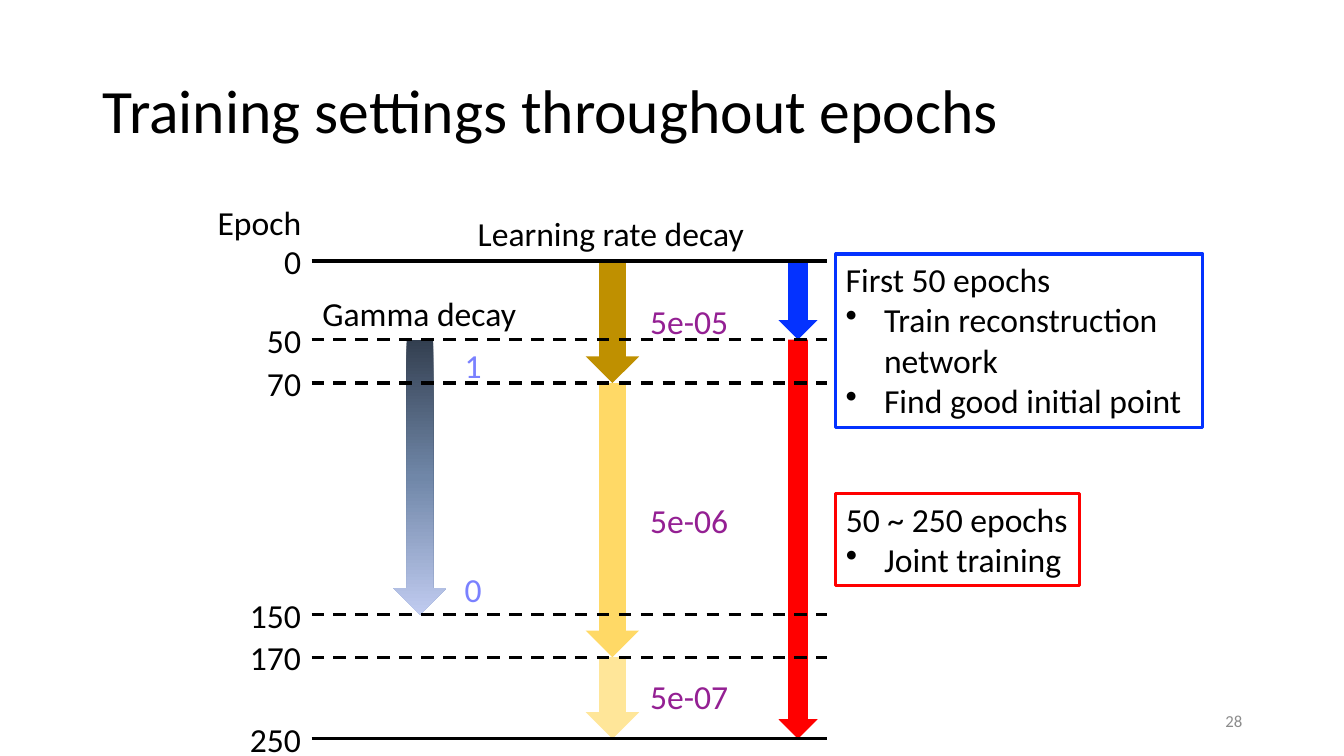
from copy import deepcopy
from dataclasses import dataclass

from pptx import Presentation
from pptx.dml.color import RGBColor
from pptx.enum.dml import MSO_LINE
from pptx.enum.shapes import MSO_CONNECTOR, MSO_SHAPE
from pptx.enum.text import MSO_ANCHOR, MSO_AUTO_SIZE, PP_ALIGN
from pptx.oxml.ns import qn
from pptx.util import Inches, Pt
from lxml import etree

DASH = MSO_LINE.DASH
STRAIGHT = MSO_CONNECTOR.STRAIGHT
DOWN, RECT = MSO_SHAPE.DOWN_ARROW, MSO_SHAPE.RECTANGLE
TOP, MIDDLE = MSO_ANCHOR.TOP, MSO_ANCHOR.MIDDLE
FIXED, GROW = MSO_AUTO_SIZE.NONE, MSO_AUTO_SIZE.SHAPE_TO_FIT_TEXT
LEFT, RIGHT = PP_ALIGN.LEFT, PP_ALIGN.RIGHT


@dataclass(frozen=True)
class Theme:
    font: str = "Calibri"
    title: int = 44
    body: int = 24
    small: int = 12
    line: float = 2.25
    ink: str = "000000"
    grey: str = "8C8C8C"
    blue: str = "0432FF"
    red: str = "FF0000"
    rate: str = "942093"
    gamma: str = "7A81FF"
    golds: tuple = ("BF9000", "FFD966", "FFE699")
    fade: tuple = ("333F50", "7087A8", "C0CBF0")


THEME = Theme()

# Height of each epoch mark on the time axis
MARKS = {0: 2.59, 50: 3.37, 70: 3.8, 150: 6.1, 170: 6.52, 250: 7.33}
AXIS_LEFT, AXIS_RIGHT = 3.09, 8.2
ROW = 0.5


def rgb(code):
    return RGBColor.from_string(code)


def assign(target, values):
    for name, value in values.items():
        setattr(target, name, value)


def write(frame, lines, size=THEME.body, color=THEME.ink, align=LEFT,
          bullets=False, **form):
    """Fill a text frame; with bullets, every line after the first has one."""
    assign(frame, {"word_wrap": False, "auto_size": GROW,
                   "vertical_anchor": TOP, **form})
    frame.text = "\n".join(lines)
    for i, para in enumerate(frame.paragraphs):
        para.alignment = align
        assign(para.font, {"name": THEME.font, "size": Pt(size)})
        para.font.color.rgb = rgb(color)
        if bullets and i:
            props = para._p.get_or_add_pPr()
            props.set("marL", str(Inches(0.38)))
            props.set("indent", str(Inches(-0.38)))
            mark = etree.Element(qn("a:buChar"), {"char": "•"})
            props.insert_element_before(mark, "a:tabLst", "a:defRPr", "a:extLst")


def label(slide, text, left, top, width, height=ROW, **form):
    box = slide.shapes.add_textbox(*map(Inches, (left, top, width, height)))
    write(box.text_frame, [text], **form)


def fade(shape, colors):
    """Run a gradient from top to bottom through evenly spaced colours."""
    shape.fill.gradient()
    shape.fill.gradient_angle = 270
    stops = shape._element.spPr.find(".//" + qn("a:gsLst"))
    while len(stops) < len(colors):
        stops.append(deepcopy(stops[-1]))
    for i, (stop, color) in enumerate(zip(shape.fill.gradient_stops, colors)):
        stop.position = i / (len(colors) - 1)
        stop.color.rgb = rgb(color)


def arrow(slide, left, width, start, end, color):
    """Draw a down arrow between two epochs."""
    top = MARKS[start]
    size = (left, top, width, MARKS[end] - top)
    shape = slide.shapes.add_shape(DOWN, *map(Inches, size))
    shape.shadow.inherit = False
    shape.line.fill.background()
    if isinstance(color, tuple):
        fade(shape, color)
    else:
        shape.fill.solid()
        shape.fill.fore_color.rgb = rgb(color)


def mark(slide, epoch, solid):
    """Draw an epoch line with its number to the left."""
    y = MARKS[epoch]
    ends = (AXIS_LEFT, y, AXIS_RIGHT, y)
    line = slide.shapes.add_connector(STRAIGHT, *map(Inches, ends))
    line.line.color.rgb = rgb(THEME.ink)
    line.line.width = Pt(THEME.line)
    if not solid:
        line.line.dash_style = DASH
    etree.SubElement(line._element.spPr, qn("a:effectLst"))
    width = 0.2 + 0.17 * len(str(epoch))
    label(slide, str(epoch), AXIS_LEFT - width, y - ROW / 2, width)


def note(slide, lines, color, top, width, height, wrap):
    """Draw an outlined box with a heading and bullets."""
    size = (8.29, top, width, height)
    shape = slide.shapes.add_shape(RECT, *map(Inches, size))
    shape.shadow.inherit = False
    shape.fill.background()
    shape.line.color.rgb = rgb(color)
    shape.line.width = Pt(THEME.line)
    write(shape.text_frame, lines, bullets=True, word_wrap=wrap)


def heading(slide, text):
    title = slide.shapes.title
    assign(title, {"left": Inches(0.92), "top": Inches(0.4),
                   "width": Inches(11.5), "height": Inches(1.45)})
    write(title.text_frame, [text], size=THEME.title, word_wrap=True,
          auto_size=FIXED, vertical_anchor=MIDDLE)
    title.text_frame.paragraphs[0].line_spacing = 0.9


def main():
    deck = Presentation()
    assign(deck, {"slide_width": Inches(13.33), "slide_height": Inches(7.5)})
    slide = deck.slides.add_slide(deck.slide_layouts[5])
    heading(slide, "Training settings throughout epochs")

    # Arrows: gamma, learning rate, training stages
    arrow(slide, 3.9, 0.53, 50, 150, THEME.fade)
    steps = (0, 70, 170, 250)
    for start, end, color in zip(steps, steps[1:], THEME.golds):
        arrow(slide, 5.81, 0.53, start, end, color)
    arrow(slide, 7.72, 0.39, 0, 50, THEME.blue)
    arrow(slide, 7.72, 0.39, 50, 250, THEME.red)

    # Epoch axis
    label(slide, "Epoch", 2.06, 1.95, 1.04)
    for epoch in MARKS:
        mark(slide, epoch, solid=epoch in (0, 250))

    # Arrow names and values
    label(slide, "Learning rate decay", 4.64, 2.06, 2.87)
    label(slide, "Gamma decay", 3.1, 2.86, 2.14)
    for text, top in (("5e-05", 2.94), ("5e-06", 4.91), ("5e-07", 6.66)):
        label(slide, text, 6.35, top, 0.98, color=THEME.rate)
    for text, top in (("1", 3.37), ("0", 5.59)):
        label(slide, text, 4.51, top, 0.37, color=THEME.gamma)

    # Stage notes
    note(slide, ["First 50 epochs", "Train reconstruction network",
                 "Find good initial point"], THEME.blue, 2.52, 3.64, 1.72, True)
    note(slide, ["50 ~ 250 epochs", "Joint training"],
         THEME.red, 4.9, 2.42, 0.91, False)

    # Slide number
    label(slide, "28", 9.42, 6.95, 3, 0.4, size=THEME.small, color=THEME.grey,
          align=RIGHT, word_wrap=True, auto_size=FIXED, vertical_anchor=MIDDLE)

    deck.save("out.pptx")


if __name__ == "__main__":
    main()
